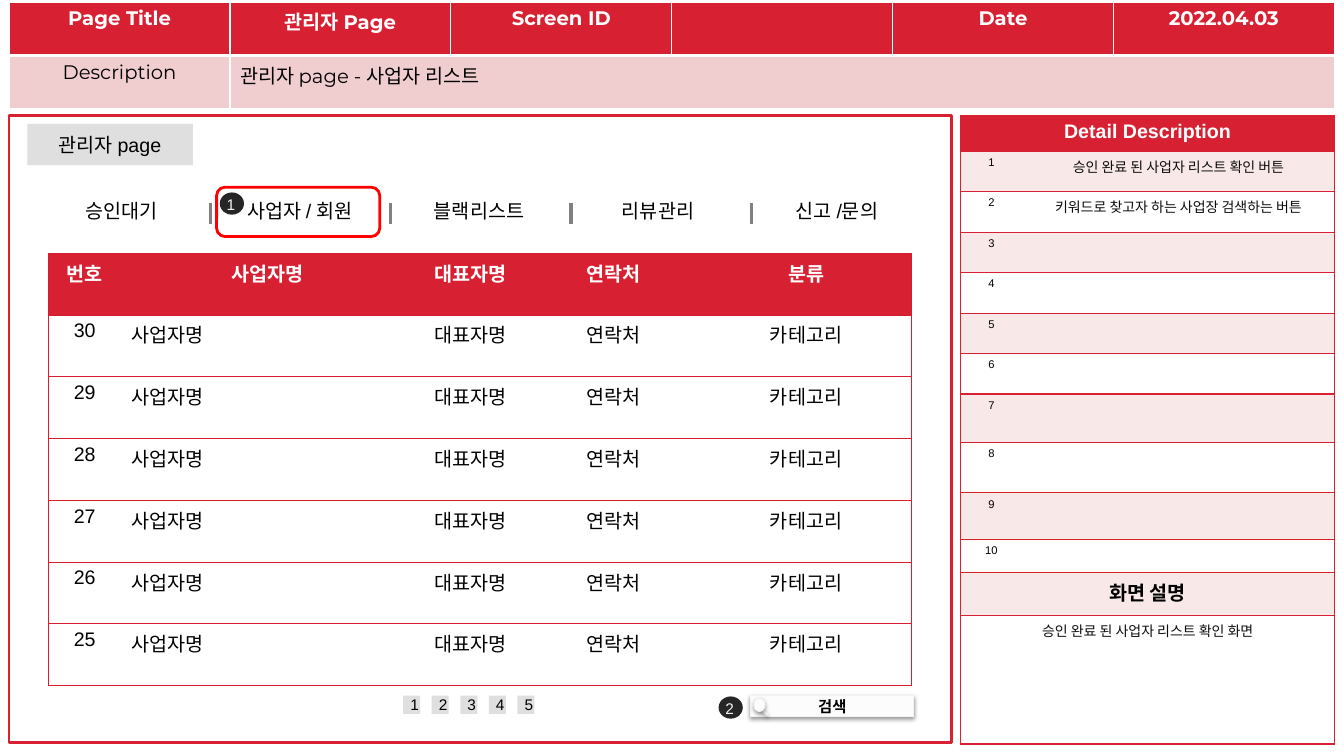
from lxml import etree
from pptx import Presentation
from pptx import util as u
from pptx.dml.color import RGBColor
from pptx.enum import shapes, text
from pptx.oxml.ns import qn

RED = RGBColor(0xD8, 0x20, 0x33)
LIST_RED = RGBColor(0xD8, 0x1B, 0x2E)
BRIGHT_RED = RGBColor(0xFF, 0x00, 0x00)
PINK = RGBColor(0xF0, 0xCD, 0xCE)
PALE_PINK = RGBColor(0xF8, 0xE8, 0xE8)
WHITE = RGBColor(0xFF, 0xFF, 0xFF)
OFF_WHITE = RGBColor(0xFC, 0xFC, 0xFC)
NEAR_WHITE = RGBColor(0xFE, 0xFE, 0xFE)
EDGE = RGBColor(0xF3, 0xF3, 0xF3)
BADGE_TEXT = RGBColor(0xF2, 0xF2, 0xF2)
LIGHT_GRAY = RGBColor(0xDF, 0xDF, 0xDF)
GRAY = RGBColor(0x80, 0x80, 0x80)
DARK = RGBColor(0x26, 0x26, 0x26)
INK = RGBColor(0x0D, 0x0D, 0x0D)
BLACK = RGBColor(0x00, 0x00, 0x00)

SHAPE = shapes.MSO_SHAPE
LEFT, CENTER = text.PP_ALIGN.LEFT, text.PP_ALIGN.CENTER
MIDDLE, TOP = text.MSO_ANCHOR.MIDDLE, text.MSO_ANCHOR.TOP


def write(frame, content, size=14, color=BLACK, font="Arial", bold=False,
          align=CENTER, anchor=MIDDLE, wrap=True):
    frame.word_wrap = wrap
    frame.vertical_anchor = anchor
    paragraph = frame.paragraphs[0]
    paragraph.alignment = align
    if not content:  # keeps an empty cell from growing its row
        paragraph._p.get_or_add_endParaRPr().set("sz", str(size * 100))
        return
    run = paragraph.add_run()
    run.text = content
    run.font.size, run.font.name = u.Pt(size), font
    run.font.bold, run.font.color.rgb = bold, color


def add_box(parent, kind, box, fill=None, line=None, weight=1):
    shape = parent.shapes.add_shape(kind, *map(u.Cm, box))
    shape.shadow.inherit = False
    if fill is None:
        shape.fill.background()
    else:
        shape.fill.solid()
        shape.fill.fore_color.rgb = fill
    if line is None:
        shape.line.fill.background()
    else:
        shape.line.color.rgb = line
        shape.line.width = u.Pt(weight)
    return shape


def add_label(parent, content, box, **style):
    label = parent.shapes.add_textbox(*map(u.Cm, box))
    write(label.text_frame, content, **style)


def add_grid(slide, left, top, widths, heights):
    frame = slide.shapes.add_table(len(heights), len(widths), u.Cm(left), u.Cm(top),
                                   u.Cm(sum(widths)), u.Cm(sum(heights)))
    table = frame.table
    table.first_row = table.horz_banding = False
    for column, width in zip(table.columns, widths):
        column.width = u.Cm(width)
    for row, height in zip(table.rows, heights):
        row.height = u.Cm(height)
    return table


def format_cell(cell, fill, color, **weights):
    """Draw the sides L, R, T, B that have a weight, then fill the cell."""
    properties = cell._tc.get_or_add_tcPr()
    for side in "LRTB":
        line = etree.SubElement(properties, qn("a:ln" + side))
        if side in weights:
            line.set("w", str(u.Pt(weights[side])))
            solid = etree.SubElement(line, qn("a:solidFill"))
            etree.SubElement(solid, qn("a:srgbClr"), val=str(color))
        else:
            etree.SubElement(line, qn("a:noFill"))
    cell.fill.solid()
    cell.fill.fore_color.rgb = fill


def outer_sides(cell, column, last, weight):
    sides = {"T": weight, "B": weight}
    if column == 0:
        sides["L"] = weight
    if column == last or cell.is_merge_origin:
        sides["R"] = weight
    return sides


def page_header(slide, left, top, width, height):
    rows = [["Page Title", "관리자 Page", "Screen ID", "", "Date", "2022.04.03"],
            ["Description", "관리자 page - 사업자 리스트", "", "", "", ""]]
    table = add_grid(slide, left, top, [width / 6] * 6, [height / 2] * 2)
    table.cell(1, 1).merge(table.cell(1, 5))
    for r, row in enumerate(rows):
        for c, content in enumerate(row):
            cell = table.cell(r, c)
            gap = {"T": 1, "B": 3} if r == 0 else {"T": 3, "B": 1}
            format_cell(cell, PINK if r else RED, WHITE, L=1, R=1, **gap)
            write(cell.text_frame, content, font="Montserrat", bold=r == 0,
                  color=BLACK if r else WHITE, align=LEFT if r and c else CENTER)


def detail_panel(slide, left, top, width):
    notes = ["승인 완료 된 사업자 리스트 확인 버튼", "키워드로 찾고자 하는 사업장 검색하는 버튼"] + [""] * 8
    small, note = dict(size=8), dict(size=10, color=INK)
    rows = [("Detail Description", "", dict(color=WHITE, bold=True))]
    rows += [(str(i), content, small) for i, content in enumerate(notes, 1)]
    rows += [("화면 설명", "", dict(bold=True)),
             ("승인 완료 된 사업자 리스트 확인 화면", "", note)]
    heights = [0.89] + [1.02] * 6 + [1.22, 1.27, 1.17, 0.84, 1.07, 3.25]
    table = add_grid(slide, left, top, [1.55, width - 1.55], heights)
    for r in (0, 11, 12):
        table.cell(r, 0).merge(table.cell(r, 1))
    for r, (first, second, style) in enumerate(rows):
        fill = RED if r == 0 else PALE_PINK if r % 2 else WHITE
        for c, content in enumerate((first, second)):
            cell = table.cell(r, c)
            format_cell(cell, fill, RED, **outer_sides(cell, c, 1, 1))
            write(cell.text_frame, content, **(note if c else style))


def business_list(slide, left, top, height):
    rows = [["번호", "사업자명", "대표자명", "연락처", "분류"]]
    rows += [[str(n), "사업자명", "대표자명", "연락처", "카테고리"] for n in range(30, 24, -1)]
    table = add_grid(slide, left, top, [1.83, 7.39, 2.84, 4.37, 5.33],
                     [height / len(rows)] * len(rows))
    for r, row in enumerate(rows):
        for c, content in enumerate(row):
            cell = table.cell(r, c)
            format_cell(cell, WHITE if r else RED, LIST_RED, **outer_sides(cell, c, 4, 0.75))
            write(cell.text_frame, content, bold=r == 0, color=BLACK if r else WHITE,
                  align=LEFT if r and c == 1 else CENTER)


def menu(slide, left, top):
    tabs = ["승인대기", "사업자 / 회원", "블랙리스트", "리뷰관리", "신고 /문의"]
    for i, tab in enumerate(tabs):
        add_label(slide, tab, (left + 4.51 * i, top, 4.17, 1.04))
    for i in range(len(tabs) - 1):
        x = u.Cm(left + 4.34 + 4.54 * i)
        divider = slide.shapes.add_connector(shapes.MSO_CONNECTOR.STRAIGHT,
                                             x, u.Cm(top + 0.31), x, u.Cm(top + 0.84))
        divider.line.color.rgb, divider.line.width = GRAY, u.Pt(2.25)
        etree.SubElement(divider._element.spPr, qn("a:effectLst"))


def badge(slide, number, left, top):
    group = slide.shapes.add_group_shape()
    add_box(group, SHAPE.OVAL, (left, top, 0.61, 0.56), DARK)
    add_label(group, number, (left - 0.08, top - 0.07, 0.69, 0.74), size=11,
              color=BADGE_TEXT, align=LEFT, anchor=TOP, wrap=False)


def add_raised(parent, kind, box):
    shape = add_box(parent, kind, box, OFF_WHITE, EDGE, 0.75)
    shape.fill.gradient()
    shape.fill.gradient_angle = 90
    for stop, color, position in zip(shape.fill.gradient_stops, (OFF_WHITE, NEAR_WHITE), (0.35, 1)):
        stop.color.rgb, stop.position = color, position
    effects = shape._element.spPr.find(qn("a:effectLst"))
    shadow = etree.SubElement(effects, qn("a:outerShdw"), blurRad=str(u.Pt(3.1)),
                              dist=str(u.Pt(1.6)), dir="5400000", rotWithShape="0")
    color = etree.SubElement(shadow, qn("a:srgbClr"), val=str(BLACK))
    etree.SubElement(color, qn("a:alpha"), val="38000")
    return shape


def search_button(slide, left, top, width, height):
    group = slide.shapes.add_group_shape()
    button = add_raised(group, SHAPE.RECTANGLE, (left, top, width, height))
    write(button.text_frame, "검색", size=11, bold=True)
    handle = add_raised(group, SHAPE.ROUNDED_RECTANGLE, (left + 0.28, top + 0.17, 0.03, 0.36))
    handle.rotation = 316.3
    add_raised(group, SHAPE.OVAL, (left + 0.08, top + 0.07, 0.28, 0.33))


def admin_screen(slide, left, top, width, height):
    add_box(slide, SHAPE.RECTANGLE, (left, top, width, height), WHITE, RED, 2)
    chip = add_box(slide, SHAPE.RECTANGLE, (left + 0.46, top + 0.2, 4.17, 1.04), LIGHT_GRAY)
    write(chip.text_frame, "관리자 page")
    menu(slide, left + 0.74, top + 1.88)
    business_list(slide, left + 0.99, top + 3.46, 10.9)
    # Page numbers
    for i in range(5):
        page = add_box(slide, SHAPE.RECTANGLE,
                       (left + 9.93 + 0.72 * i, top + 14.61, 0.43, 0.46), LIGHT_GRAY)
        write(page.text_frame, str(i + 1), size=11)
    # Numbered callouts and search
    add_box(slide, SHAPE.ROUNDED_RECTANGLE, (left + 5.23, top + 1.8, 4.11, 1.24),
            line=BRIGHT_RED, weight=2)
    badge(slide, "1", left + 5.31, top + 1.93)
    search_button(slide, left + 18.69, top + 14.61, 4.11, 0.53)
    badge(slide, "2", left + 17.88, top + 14.63)


def main():
    presentation = Presentation()
    presentation.slide_width, presentation.slide_height = u.Cm(33.87), u.Cm(19.05)
    slide = presentation.slides.add_slide(presentation.slide_layouts[6])
    page_header(slide, 0.23, 0.05, 33.4, 2.69)
    detail_panel(slide, 24.21, 2.92, 9.42)
    admin_screen(slide, 0.23, 2.92, 23.75, 15.8)
    presentation.save("out.pptx")


if __name__ == "__main__":
    main()
